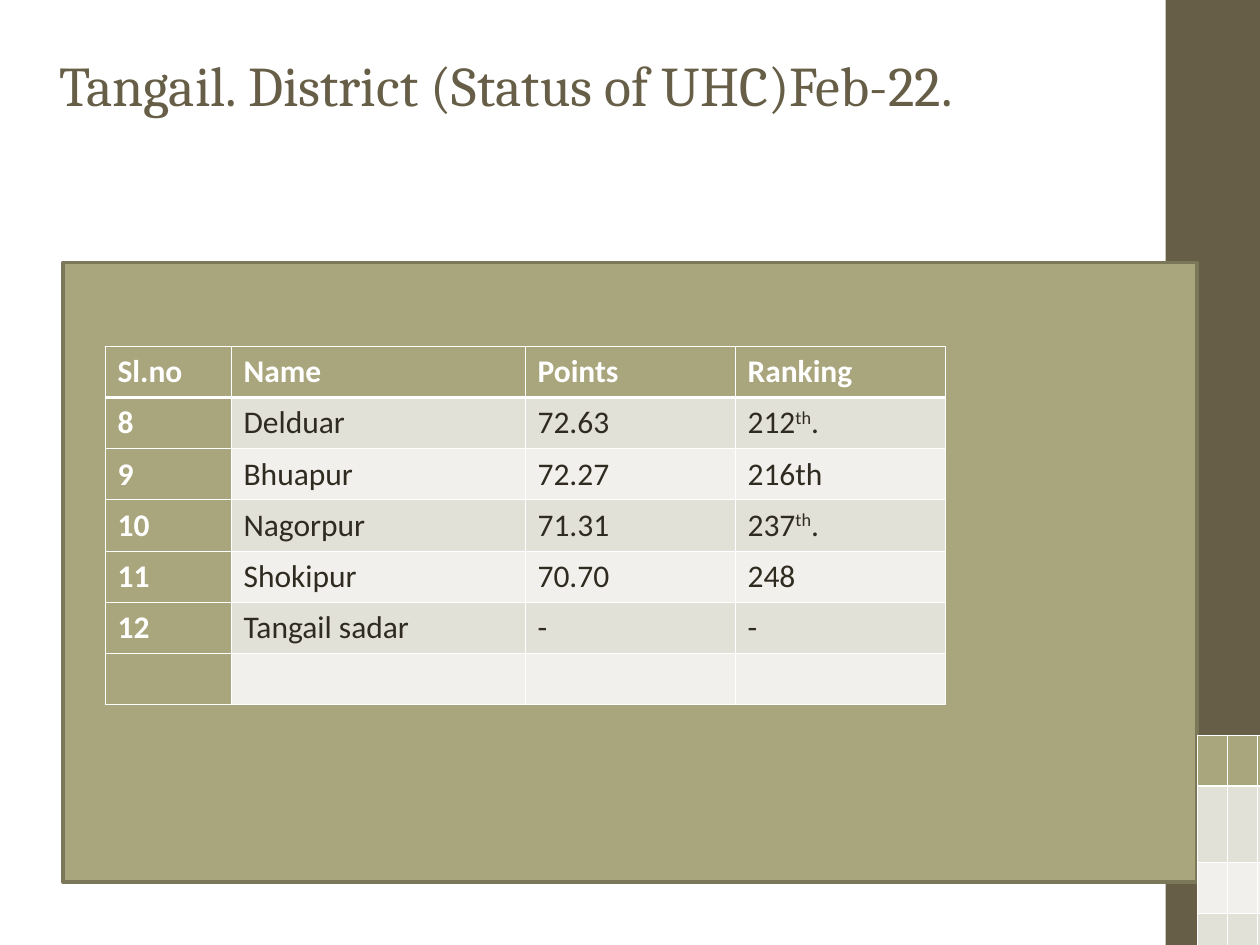
from lxml import etree
from pptx import Presentation
from pptx.dml.color import RGBColor
from pptx.enum.shapes import MSO_SHAPE
from pptx.enum.text import MSO_ANCHOR, MSO_AUTO_SIZE, PP_ALIGN
from pptx.oxml.ns import qn
from pptx.util import Inches, Pt

RECTANGLE = MSO_SHAPE.RECTANGLE
MIDDLE = MSO_ANCHOR.MIDDLE
NO_FIT = MSO_AUTO_SIZE.NONE
LEFT = PP_ALIGN.LEFT

BROWN = RGBColor(0x67, 0x5E, 0x47)
KHAKI = RGBColor(0xA9, 0xA5, 0x7C)
OLIVE = RGBColor(0x7B, 0x78, 0x59)
BAND_DARK = RGBColor(0xE2, 0xE1, 0xD7)
BAND_LIGHT = RGBColor(0xF1, 0xF0, 0xEC)
INK = RGBColor(0x2F, 0x2B, 0x20)
WHITE = RGBColor(0xFF, 0xFF, 0xFF)

GRID_COLUMNS, GRID_ROWS = 120, 90
THIN, THICK = 0.45, 1.47

# Text between ^ marks is superscript
RANKING = [
    ("Sl.no", "Name", "Points", "Ranking"),
    ("8", "Delduar", "72.63", "212^th^."),
    ("9", "Bhuapur", "72.27", "216th"),
    ("10", "Nagorpur", "71.31", "237^th^."),
    ("11", "Shokipur", "70.70", "248"),
    ("12", "Tangail sadar", "-", "-"),
    ("", "", "", ""),
]
SIDE_GRID = [[""] * 5 for _ in range(4)]


def write(paragraph, text, font="Calibri", size=18, color=INK, bold=False):
    """Write text as runs, raising every part between ^ marks."""
    paragraph.alignment = LEFT
    for index, part in enumerate(text.split("^")):
        if not part:
            continue
        run = paragraph.add_run()
        run.text = part
        run.font.name = font
        run.font.size = Pt(size)
        run.font.bold = bold
        run.font.color.rgb = color
        if index % 2:
            run._r.get_or_add_rPr().set("baseline", "30000")


def draw_borders(cell, **widths):
    """Add white cell borders; keys are the sides L, R, T and B."""
    properties = cell._tc.get_or_add_tcPr()
    for side, width in widths.items():
        line = etree.SubElement(properties, qn(f"a:ln{side}"), w=str(Pt(width)))
        fill = etree.SubElement(line, qn("a:solidFill"))
        etree.SubElement(fill, qn("a:srgbClr"), val=str(WHITE))


class SlideBuilder:
    """Places elements on a slide by grid columns and rows."""

    def __init__(self, presentation):
        self.column = presentation.slide_width / GRID_COLUMNS
        self.row = presentation.slide_height / GRID_ROWS
        title_only = presentation.slide_layouts[5]
        self.slide = presentation.slides.add_slide(title_only)

    def place(self, left, top, width, height):
        return (round(left * self.column), round(top * self.row),
                round(width * self.column), round(height * self.row))

    def title(self, text, *area):
        title = self.slide.shapes.title
        title.left, title.top, title.width, title.height = self.place(*area)
        frame = title.text_frame
        frame.auto_size = NO_FIT
        frame.word_wrap = True
        frame.vertical_anchor = MIDDLE
        frame.margin_left = Inches(0.22)
        frame.margin_top = Inches(0.13)
        write(frame.paragraphs[0], text, font="Cambria", size=32, color=BROWN)

    def block(self, *area, fill, outline=None):
        block = self.slide.shapes.add_shape(RECTANGLE, *self.place(*area))
        block.shadow.inherit = False
        block.fill.solid()
        block.fill.fore_color.rgb = fill
        if outline is None:
            block.line.fill.background()
        else:
            block.line.color.rgb = outline
            block.line.width = Pt(2)

    def table(self, cells, left, top, widths, heights, key_column=False):
        area = self.place(left, top, sum(widths), sum(heights))
        frame = self.slide.shapes.add_table(len(heights), len(widths), *area)
        table = frame.table
        table.first_col = key_column
        for column, width in zip(table.columns, widths):
            column.width = round(width * self.column)
        for row, height in zip(table.rows, heights):
            row.height = round(height * self.row)
        for r, texts in enumerate(cells):
            for c, text in enumerate(texts):
                cell = table.cell(r, c)
                heading = r == 0 or (key_column and c == 0)
                draw_borders(cell, L=THIN, R=THIN,
                             T=THICK if r == 1 else THIN,
                             B=THICK if r == 0 else THIN)
                cell.fill.solid()
                band = BAND_DARK if r % 2 else BAND_LIGHT
                cell.fill.fore_color.rgb = KHAKI if heading else band
                write(cell.text_frame.paragraphs[0], text, bold=heading,
                      color=WHITE if heading else INK)


def main():
    presentation = Presentation()
    presentation.slide_width = Inches(10)
    presentation.slide_height = Inches(7.5)
    builder = SlideBuilder(presentation)

    # Side bar and panel
    builder.block(111, 0, 9, GRID_ROWS, fill=BROWN)
    builder.block(6, 25, 108, 59, fill=KHAKI, outline=OLIVE)

    # Title
    builder.title("Tangail. District (Status of UHC)Feb-22.", 3, 0, 100, 15)

    # Empty grid at the corner, then the ranking table
    builder.table(SIDE_GRID, 114, 70, [2.85] * 5, [4.8, 7.3, 4.8, 4.8])
    builder.table(RANKING, 10, 33, [12, 28, 20, 20],
                  [34 / len(RANKING)] * len(RANKING), key_column=True)

    presentation.save("out.pptx")


if __name__ == "__main__":
    main()
